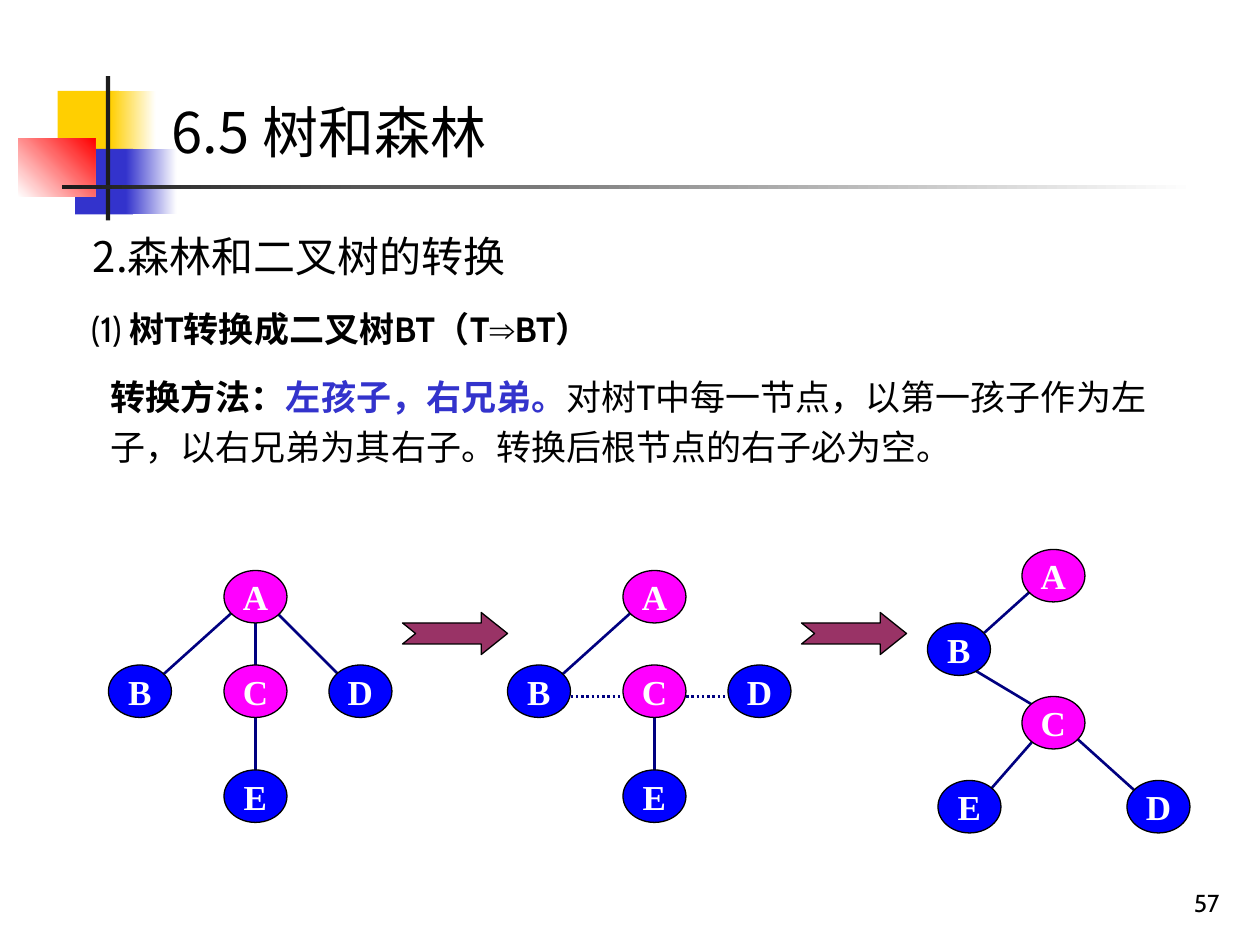
from dataclasses import dataclass

from lxml import etree
from pptx import Presentation
from pptx.dml.color import RGBColor
from pptx.enum.dml import MSO_LINE
from pptx.enum.shapes import MSO_CONNECTOR, MSO_SHAPE
from pptx.enum.text import MSO_ANCHOR, MSO_AUTO_SIZE, PP_ALIGN
from pptx.oxml.ns import qn
from pptx.util import Pt

RECTANGLE, OVAL = MSO_SHAPE.RECTANGLE, MSO_SHAPE.OVAL
STRAIGHT, DOTTED = MSO_CONNECTOR.STRAIGHT, MSO_LINE.ROUND_DOT
TOP, MIDDLE, BOTTOM = MSO_ANCHOR.TOP, MSO_ANCHOR.MIDDLE, MSO_ANCHOR.BOTTOM
LEFT, CENTER, RIGHT = PP_ALIGN.LEFT, PP_ALIGN.CENTER, PP_ALIGN.RIGHT


@dataclass(frozen=True)
class Theme:
    black: str = "000000"
    white: str = "FFFFFF"
    yellow: str = "FFCF01"
    indigo: str = "3333CC"
    red: str = "FF0000"
    charcoal: str = "1C1C1C"
    magenta: str = "FF00FF"
    blue: str = "0000FF"
    edge: str = "000080"
    arrow: str = "993366"
    latin: str = "Cabin"
    chinese: str = "Noto Sans CJK SC"
    heading: str = "Noto Sans CJK JP"
    symbol: str = "Arial"
    node: str = "Times New Roman"
    title_size: int = 32
    heading_size: int = 24
    text_size: int = 20
    number_size: int = 14


THEME = Theme()

# left, top, width, height, colours (two make a gradient), gradient angle
DECORATIONS = [
    (33, 52, 35, 37.5, [THEME.yellow], 0),
    (63, 52, 26, 37.5, [THEME.yellow, THEME.white], 0),
    (43, 85, 33, 37.5, [THEME.indigo], 0),
    (72, 85, 29, 37.5, [THEME.indigo, THEME.white], 0),
    (10.5, 79, 44, 33.5, [THEME.white, THEME.red], 45),
    (60.5, 43.5, 2.5, 82.5, [THEME.charcoal], 0),
    (35.5, 106, 648, 2, [THEME.charcoal, THEME.white], 0),
]

# Runs are: text, font, bold, colour
TITLE = [("6.5 树和森林", THEME.heading, False, THEME.black)]
HEADING = [("2.森林和二叉树的转换", THEME.chinese, False, THEME.black)]
SUBHEADING = [
    ("(1) ", THEME.latin, False, THEME.black),
    ("树T转换成二叉树BT（T", THEME.latin, True, THEME.black),
    ("⇒", THEME.symbol, True, THEME.black),
    ("BT）", THEME.latin, True, THEME.black),
]
METHOD = [
    ("转换方法：", THEME.latin, True, THEME.black),
    ("左孩子，右兄弟。", THEME.latin, True, THEME.indigo),
    ("对树T中每一节点，以第一孩子作为左子，以右兄弟为其右子。转换后根节点的右子必为空。",
     THEME.latin, False, THEME.black),
]
PAGE_NUMBER = [("57", THEME.latin, False, THEME.black)]

# Each tree: origin, node corners and edges (x1, y1, x2, y2, dotted) from it
TREES = [
    {"origin": (62, 326),
     "nodes": {"A": (66, 0), "C": (66, 54), "B": (0, 54), "D": (126, 54), "E": (66, 114)},
     "edges": [(84, 12, 24, 66, False), (84, 12, 84, 60, False),
               (84, 12, 138, 66, False), (84, 72, 84, 132, False)]},
    {"origin": (290, 326),
     "nodes": {"A": (66, 0), "B": (0, 54), "D": (126, 54), "E": (66, 114), "C": (66, 54)},
     "edges": [(24, 72, 78, 72, True), (84, 72, 138, 72, True),
               (84, 72, 84, 132, False), (84, 12, 24, 66, False)]},
    {"origin": (530, 314),
     "nodes": {"A": (54, 0), "B": (0, 42), "D": (114, 132), "E": (6, 132), "C": (54, 84)},
     "edges": [(12, 60, 72, 96, False), (72, 96, 132, 150, False),
               (72, 96, 30, 144, False), (72, 12, 12, 66, False)]},
]
NODE_SIZE = (36, 30)
MAIN_NODES = "AC"

ARROW_ORIGINS = [(230, 350), (458, 350)]
ARROW_OUTLINE = [(0, 6), (45, 6), (45, 0), (60, 12), (45, 24), (45, 18), (0, 18), (7.5, 12)]


def rgb(color):
    return RGBColor.from_string(color)


def points(*values):
    return [Pt(value) for value in values]


def write_text(shape, runs, size, anchor=TOP, align=LEFT, wrap=True, line_spacing=1.0):
    frame = shape.text_frame
    frame.word_wrap = wrap
    frame.auto_size = MSO_AUTO_SIZE.NONE
    frame.vertical_anchor = anchor
    frame.margin_left = frame.margin_right = Pt(7.2)
    frame.margin_top = frame.margin_bottom = Pt(3.6)
    paragraph = frame.paragraphs[0]
    paragraph.alignment = align
    paragraph.line_spacing = line_spacing
    paragraph.space_before = Pt(0)
    for text, font_name, bold, color in runs:
        run = paragraph.add_run()
        run.text = text
        font = run.font
        font.size, font.bold, font.name = Pt(size), bold, font_name
        font.color.rgb = rgb(color)
        east_asian = etree.Element(qn("a:ea"), typeface=THEME.chinese)
        run._r.rPr.find(qn("a:latin")).addnext(east_asian)
    return paragraph


def place(shape, left, top, width, height):
    shape.left, shape.top, shape.width, shape.height = points(left, top, width, height)


def paint(shape, fill, outlined):
    shape.shadow.inherit = False
    shape.fill.solid()
    shape.fill.fore_color.rgb = rgb(fill)
    if outlined:
        shape.line.color.rgb = rgb(THEME.black)
        shape.line.width = Pt(0.75)
    else:
        shape.line.fill.background()


def add_decoration(slide, left, top, width, height, colors, angle):
    shape = slide.shapes.add_shape(RECTANGLE, *points(left, top, width, height))
    paint(shape, colors[0], outlined=False)
    if len(colors) == 2:
        shape.fill.gradient()
        shape.fill.gradient_angle = angle
        for stop, color in zip(shape.fill.gradient_stops, colors):
            stop.color.rgb = rgb(color)


def add_tree(slide, origin, nodes, edges):
    group = slide.shapes.add_group_shape()
    x, y = origin
    for x1, y1, x2, y2, dotted in edges:
        edge = group.shapes.add_connector(STRAIGHT, *points(x + x1, y + y1, x + x2, y + y2))
        edge.line.color.rgb = rgb(THEME.edge)
        edge.line.width = Pt(1.5)
        if dotted:
            edge.line.dash_style = DOTTED
        etree.SubElement(edge._element.spPr, qn("a:effectLst"))
    for name, (left, top) in nodes.items():
        node = group.shapes.add_shape(OVAL, *points(x + left, y + top, *NODE_SIZE))
        paint(node, THEME.magenta if name in MAIN_NODES else THEME.blue, outlined=True)
        write_text(node, [(name, THEME.node, True, THEME.white)], THEME.text_size,
                   MIDDLE, CENTER, wrap=False)


def add_arrow(slide, x, y):
    outline = [(Pt(x + dx), Pt(y + dy)) for dx, dy in ARROW_OUTLINE]
    builder = slide.shapes.build_freeform(*outline[0])
    builder.add_line_segments(outline[1:], close=True)
    paint(builder.convert_to_shape(), THEME.arrow, outlined=True)


def main():
    presentation = Presentation()
    presentation.slide_width, presentation.slide_height = points(720, 540)
    slide = presentation.slides.add_slide(presentation.slide_layouts[1])
    title, body = slide.shapes.title, slide.placeholders[1]

    for decoration in DECORATIONS:
        add_decoration(slide, *decoration)

    # The title overlaps the decorations, so it goes in front of them
    slide.shapes.element.append(title._element)
    place(title, 91, 52, 629, 46)
    write_text(title, TITLE, THEME.title_size)

    heading = slide.shapes.add_textbox(*points(46, 128, 533, 36))
    write_text(heading, HEADING, THEME.heading_size)
    subheading = slide.shapes.add_textbox(*points(45, 172, 342, 55))
    write_text(subheading, SUBHEADING, THEME.text_size)

    place(body, 56, 206, 626, 65)
    paragraph = write_text(body, METHOD, THEME.text_size, line_spacing=1.2)
    properties = paragraph._p.get_or_add_pPr()
    properties.set("marL", "0")
    properties.set("indent", "0")
    etree.SubElement(properties, qn("a:buNone"))

    number = slide.shapes.add_textbox(*points(554, 492, 150, 36))
    write_text(number, PAGE_NUMBER, THEME.number_size, BOTTOM, RIGHT)

    for tree in TREES:
        add_tree(slide, **tree)
    for x, y in ARROW_ORIGINS:
        add_arrow(slide, x, y)

    presentation.save("out.pptx")


if __name__ == "__main__":
    main()
